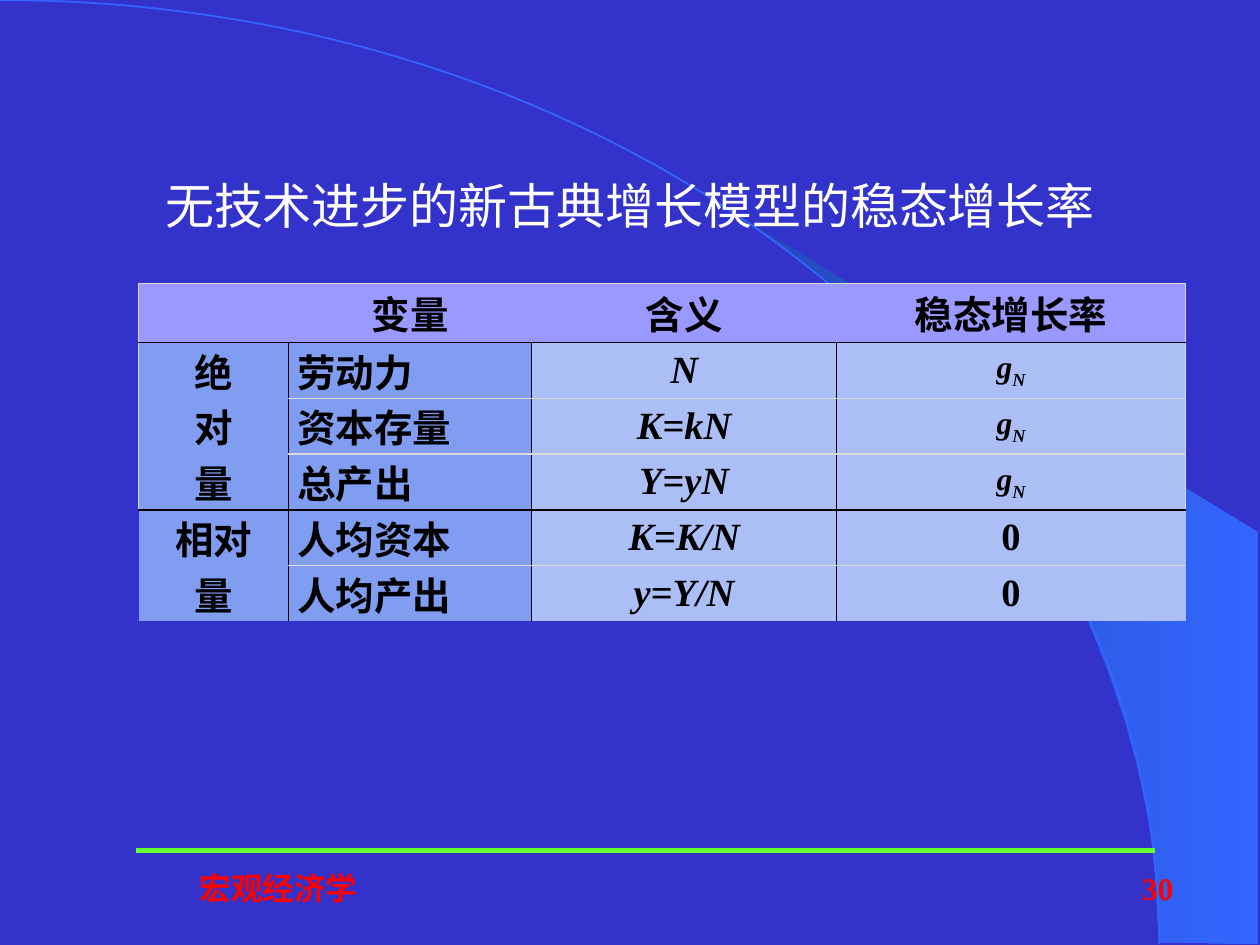
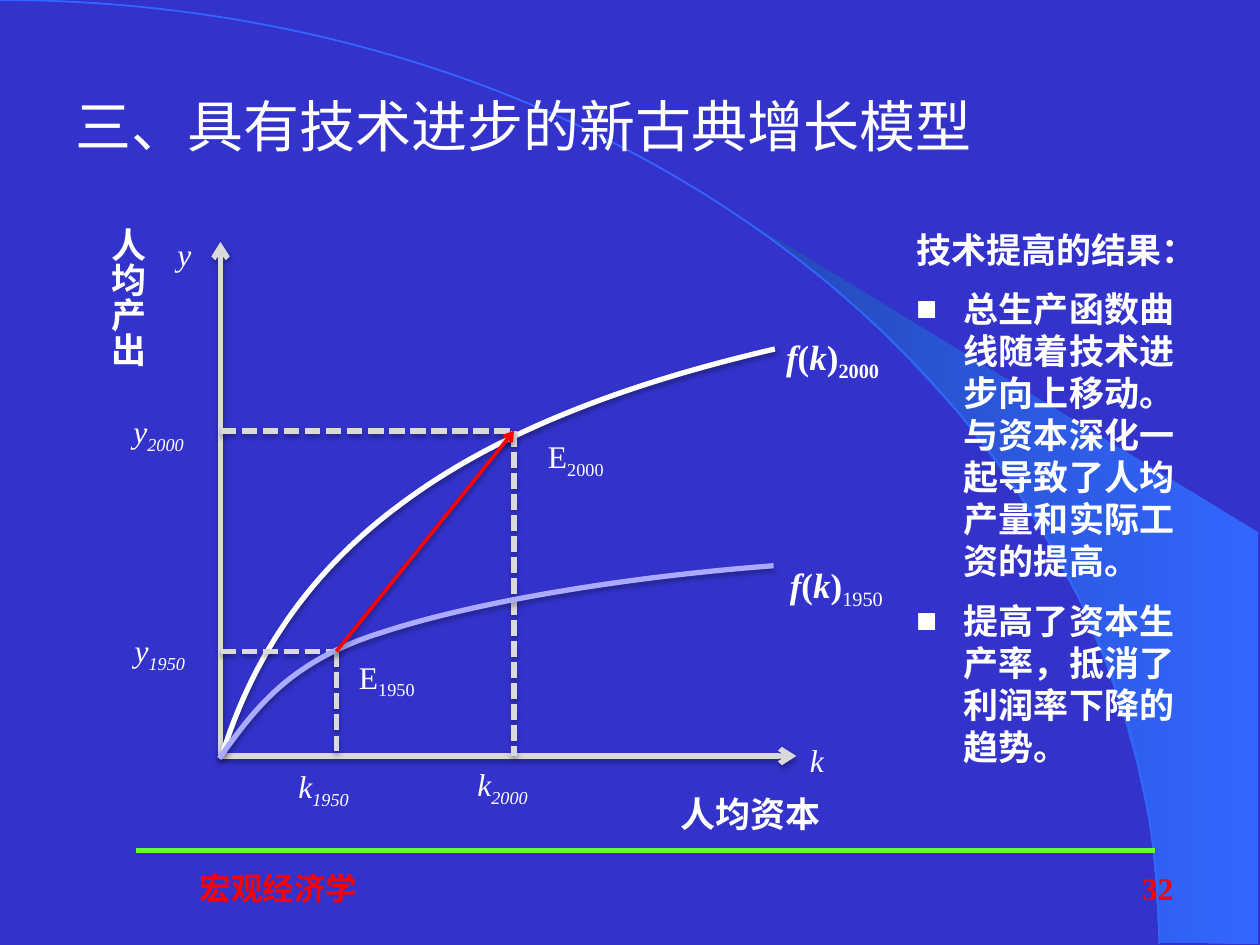
import pptx
import pptx.dml.color
import pptx.enum.dml
import pptx.enum.shapes
import pptx.enum.text
import pptx.oxml
import pptx.oxml.ns
import pptx.util
from lxml import etree
from pptx.util import Inches

ALIGN = pptx.enum.text.PP_ALIGN
ANCHOR = pptx.enum.text.MSO_ANCHOR
COLORS = {
    "background": "3333CC", "arc": "3366FF", "rule": "66FF33",
    "red": "FF0000", "white": "FFFFFF", "black": "000000",
    "axis": "DADADA", "old_curve": "AAAAFF",
    "header": "9999FF", "label": "819DF1", "value": "ABBEF5",
}
LATIN = "Times New Roman"
CHINESE = "Noto Sans CJK SC"


def rgb(name):
    return pptx.dml.color.RGBColor.from_string(COLORS[name])


def add_xml(parent, tag, **attributes):
    """Append a DrawingML child and return it."""
    child = etree.SubElement(parent, pptx.oxml.ns.qn("a:" + tag))
    for key, value in attributes.items():
        child.set(key, str(value))
    return child


# Text
def style_paragraph(paragraph, size, color="white", bold=False,
                    align=ALIGN.LEFT, latin=LATIN):
    paragraph.alignment = align
    font = paragraph.font
    font.size, font.bold, font.name = pptx.util.Pt(size), bold, latin
    font.color.rgb = rgb(color)
    add_xml(paragraph._p.pPr.defRPr, "ea", typeface=CHINESE)


def add_runs(paragraph, runs):
    """Runs are (text, marks); marks are b bold, i italic, s subscript."""
    for text, marks in runs:
        run = paragraph.add_run()
        run.text = text
        if "b" in marks:
            run.font.bold = True
        if "i" in marks:
            run.font.italic = True
        if "s" in marks:
            run._r.get_or_add_rPr().set("baseline", "-25000")


def place(shape, left, top, width, height):
    shape.left, shape.top = Inches(left), Inches(top)
    shape.width, shape.height = Inches(width), Inches(height)


def add_label(slide, box, runs, size=18, anchor=ANCHOR.TOP, **style):
    shape = slide.shapes.add_textbox(*map(Inches, box))
    frame = shape.text_frame
    frame.word_wrap = True
    frame.vertical_anchor = anchor
    style_paragraph(frame.paragraphs[0], size, **style)
    add_runs(frame.paragraphs[0], runs)
    return shape


def set_title(slide, text, box, size, align, latin):
    title = slide.shapes.title
    place(title, *box)
    title.text_frame.text = text
    title.text_frame.auto_size = pptx.enum.text.MSO_AUTO_SIZE.NONE
    title.text_frame.vertical_anchor = ANCHOR.MIDDLE
    style_paragraph(title.text_frame.paragraphs[0], size, align=align, latin=latin)


# Lines and curves
def add_shadow(shape, alpha=35, distance=1.8):
    effects = add_xml(shape._element.spPr, "effectLst")
    shadow = add_xml(effects, "outerShdw", blurRad=40000,
                     dist=pptx.util.Pt(distance), dir=5400000, rotWithShape=0)
    add_xml(add_xml(shadow, "srgbClr", val=COLORS["black"]), "alpha", val=alpha * 1000)


def add_line(slide, start, end, color, width=3, dashed=False, arrow=False):
    line = slide.shapes.add_connector(
        pptx.enum.shapes.MSO_CONNECTOR.STRAIGHT, *map(Inches, start + end))
    line.line.color.rgb = rgb(color)
    line.line.width = pptx.util.Pt(width)
    if dashed:
        line.line.dash_style = pptx.enum.dml.MSO_LINE.SQUARE_DOT
    if arrow:
        add_xml(line.line._ln, "tailEnd", type="arrow")
    return line


def add_outline(slide, points, close=False):
    points = [(Inches(x), Inches(y)) for x, y in points]
    builder = slide.shapes.build_freeform(*points[0])
    builder.add_line_segments(points[1:], close=close)
    return builder.convert_to_shape()


def add_curve(slide, points, color, width=3):
    """A start, then two control points and an end for each Bézier segment."""
    curve = add_outline(slide, points)
    segments = curve._element.spPr.xpath(".//a:lnTo")
    outline = segments[0].getparent()
    for index in range(0, len(segments), 3):
        bezier = add_xml(outline, "cubicBezTo")
        for segment in segments[index:index + 3]:
            bezier.append(segment[0])
            outline.remove(segment)
    curve.fill.background()
    curve.line.color.rgb = rgb(color)
    curve.line.width = pptx.util.Pt(width)
    return curve


# Shared backdrop and footer
def build_master(presentation, slide):
    """Draw the shared parts and move them to the slide master."""
    master = presentation.slide_master
    master.background.fill.solid()
    master.background.fill.fore_color.rgb = rgb("background")
    fan = add_outline(slide, [
        (9.2, 7.48), (9.99, 7.49), (9.99, 4.23), (5.89, 1.73), (6.24, 1.99),
        (6.53, 2.22), (6.85, 2.5), (7.16, 2.8), (7.62, 3.3), (8.03, 3.84),
        (8.32, 4.31), (8.58, 4.79), (8.78, 5.28), (8.93, 5.72), (9.03, 6.09),
        (9.13, 6.56), (9.17, 6.96)], close=True)
    fan.fill.gradient()
    fan.fill.gradient_angle = 0
    for position, stop in enumerate(fan.fill.gradient_stops):
        stop.color.rgb = rgb("arc")
        stop.position = position
    add_xml(fan._element.spPr.xpath(".//a:srgbClr")[0], "shade", val=46275)
    fan.line.fill.background()
    arc = add_curve(slide, [(0, 0), (5.08, 0), (9.2, 3.35), (9.2, 7.49)], "arc", 1)
    rule = add_line(slide, (1.08, 6.75), (9.17, 6.75), "rule")
    for shape in (fan, arc, rule):
        add_xml(shape._element.spPr, "effectLst")
    footer = add_label(slide, (0.42, 6.8, 3.58, 0.5), [("宏观经济学", "")],
                       anchor=ANCHOR.MIDDLE, color="red", bold=True, align=ALIGN.CENTER)
    for number, shape in enumerate((fan, arc, rule, footer), 101):
        shape._element.xpath(".//p:cNvPr")[0].set("id", str(number))
        master.shapes._spTree.append(shape._element)


def add_page_number(slide, number):
    add_label(slide, (7.33, 6.8, 2.08, 0.5), [(str(number), "")],
              anchor=ANCHOR.MIDDLE, color="red", bold=True, align=ALIGN.RIGHT)


# Growth-rate table
def cell_borders(row, column):
    """Colours of the left, right, top and bottom border of a cell."""
    below = ["black", "axis", "axis", "black", "axis", None]
    outer = "axis" if row < 4 else None
    inner = "black" if row else None
    top = below[row - 1] if row else "axis"
    bottom = below[row]
    if row and column == 0:
        top, bottom = "black", "black" if row < 4 else None
    return {"lnL": inner if column else outer, "lnR": inner if column < 3 else outer,
            "lnT": top, "lnB": bottom}


def format_cell(cell, row, column):
    """Set fill, borders and margins; return the alignment of the text."""
    properties = cell._tc.get_or_add_tcPr()
    for tag, color in cell_borders(row, column).items():
        border = add_xml(properties, tag, w=pptx.util.Pt(1))
        if color:
            add_xml(add_xml(border, "solidFill"), "srgbClr", val=COLORS[color])
        else:
            add_xml(border, "noFill")
    cell.fill.solid()
    cell.fill.fore_color.rgb = rgb(
        "header" if row == 0 else "label" if column < 2 else "value")
    cell.margin_left = cell.margin_right = Inches(0.07)
    cell.margin_top = cell.margin_bottom = 0
    is_name = row > 0 and column == 1
    cell.vertical_anchor = ANCHOR.TOP if is_name else ANCHOR.MIDDLE
    return ALIGN.JUSTIFY if is_name else ALIGN.CENTER


def add_growth_table(slide):
    rate = [("g", "i"), ("N", "is")]
    rows = [
        ["", "变量", "含义", "稳态增长率"],
        ["绝\n对\n量", "劳动力", "N", rate],
        ["", "资本存量", "K=kN", rate],
        ["", "总产出", "Y=yN", rate],
        ["相对\n量", "人均资本", "K=K/N", "0"],
        ["", "人均产出", "y=Y/N", "0"],
    ]
    table = slide.shapes.add_table(
        6, 4, *map(Inches, (1.1, 2.25, 8.31, 2.47))).table
    for column, width in zip(table.columns, (1.19, 1.93, 2.42, 2.77)):
        column.width = Inches(width)
    for index, row in enumerate(table.rows):
        row.height = Inches(0.4 if index else 0.47)
    for first, last in ((1, 3), (4, 5)):
        table.cell(first, 0).merge(table.cell(last, 0))
    for row, values in enumerate(rows):
        for column, value in enumerate(values):
            cell = table.cell(row, column)
            align = format_cell(cell, row, column)
            marks = "i" if row and column == 2 else ""
            lines = [value] if value is rate else [[(t, marks)] for t in value.split("\n")]
            for index, runs in enumerate(lines):
                frame = cell.text_frame
                paragraph = frame.add_paragraph() if index else frame.paragraphs[0]
                style_paragraph(paragraph, 18 if value is rate else 22, "black", True, align)
                if value:
                    add_runs(paragraph, runs)


# Growth diagram
def add_diagram(slide):
    origin, old, new = (1.75, 6), (2.67, 5.17), (4.08, 3.42)
    shadowed = [
        add_line(slide, origin, (1.75, 1.92), "axis", arrow=True),
        add_line(slide, (1.74, 6), (6.32, 6), "axis", arrow=True),
        add_curve(slide, [
            (1.77, 5.97), (2.02, 5.18), (2.48, 4.51), (3.21, 3.98),
            (3.94, 3.44), (4.94, 3.05), (6.15, 2.77)], "white")]
    for x, y in (new, old):
        shadowed.append(add_line(slide, (origin[0], y), (x, y), "axis", dashed=True))
        shadowed.append(add_line(slide, (x, y), (x, origin[1]), "axis", dashed=True))
    shadowed.append(add_curve(slide, [
        (1.74, 6.02), (2.02, 5.63), (2.29, 5.25), (3.03, 5.02),
        (3.76, 4.78), (4.95, 4.58), (6.14, 4.49)], "old_curve"))
    for shape in shadowed:
        add_shadow(shape)
    add_shadow(add_line(slide, old, new, "red", 2, arrow=True), 38, 1.6)

    # Axis names
    add_label(slide, (4.5, 6.24, 2.92, 0.44), [("人均资本", "")], 20,
              bold=True, align=ALIGN.CENTER, latin=CHINESE)
    output = add_label(slide, (0.69, 1.71, 0.54, 3.25), [("人均产出", "")], 20,
                       bold=True, latin=CHINESE)
    output.text_frame._txBody.bodyPr.set("vert", "eaVert")
    for text, left, top, width in (("k", 6.33, 5.83, 0.92), ("y", 1.31, 1.82, 0.83)):
        add_label(slide, (left, top, width, 0.4), [(text, "i")])

    # Points and curves by year
    for text, year, left, top, width in (
            ("y", "2000", 0.96, 3.22, 0.83), ("y", "1950", 0.97, 4.96, 0.83),
            ("k", "2000", 3.69, 6.02, 0.83), ("k", "1950", 2.27, 6.04, 0.83),
            ("E", "2000", 4.25, 3.42, 1.08), ("E", "1950", 2.75, 5.17, 0.92)):
        slant = "" if text == "E" else "i"
        add_label(slide, (left, top, width, 0.4), [(text, slant), (year, slant + "s")])
    for year, marks, left, top, width in (
            ("2000", "bs", 6.14, 2.61, 1.25), ("1950", "s", 6.17, 4.42, 1.17)):
        add_label(slide, (left, top, width, 0.44), [
            ("f", "bi"), ("(", "b"), ("k", "bi"), (")", "b"), (year, marks)], 20)


def fill_results(slide):
    body = slide.placeholders[1]
    place(body, 7.17, 1.76, 2.4, 4.48)
    frame = body.text_frame
    frame.auto_size = pptx.enum.text.MSO_AUTO_SIZE.NONE
    frame.text = "\n".join((
        "技术提高的结果：",
        "总生产函数曲线随着技术进步向上移动。与资本深化一起导致了人均产量和实际工资的提高。",
        "提高了资本生产率，抵消了利润率下降的趋势。"))
    for index, paragraph in enumerate(frame.paragraphs):
        style_paragraph(paragraph, 20, bold=True, latin=CHINESE)
        paragraph.line_spacing = pptx.util.Pt(24)
        paragraph.space_before = pptx.util.Pt(10 if index else 0)
        properties = paragraph._p.pPr
        indent = Inches(0.38) if index else 0
        properties.set("marL", str(indent))
        properties.set("indent", str(-indent))
        bullet = add_xml(properties, "buChar", char="■") if index else add_xml(properties, "buNone")
        properties.defRPr.addprevious(bullet)


def main():
    presentation = pptx.Presentation()
    presentation.slide_width, presentation.slide_height = Inches(10), Inches(7.5)
    layouts = presentation.slide_layouts

    # Steady-state growth rates
    rates = presentation.slides.add_slide(layouts[5])
    build_master(presentation, rates)
    set_title(rates, "无技术进步的新古典增长模型的稳态增长率",
              (0.75, 1, 8.5, 1.25), 28, ALIGN.CENTER, CHINESE)
    add_growth_table(rates)
    add_page_number(rates, 30)

    # Growth with technical progress
    progress = presentation.slides.add_slide(layouts[1])
    set_title(progress, "三、具有技术进步的新古典增长模型",
              (0.5, 0.52, 9, 0.94), 32, ALIGN.LEFT, LATIN)
    add_diagram(progress)
    fill_results(progress)
    add_page_number(progress, 32)

    presentation.save("out.pptx")


if __name__ == "__main__":
    main()
